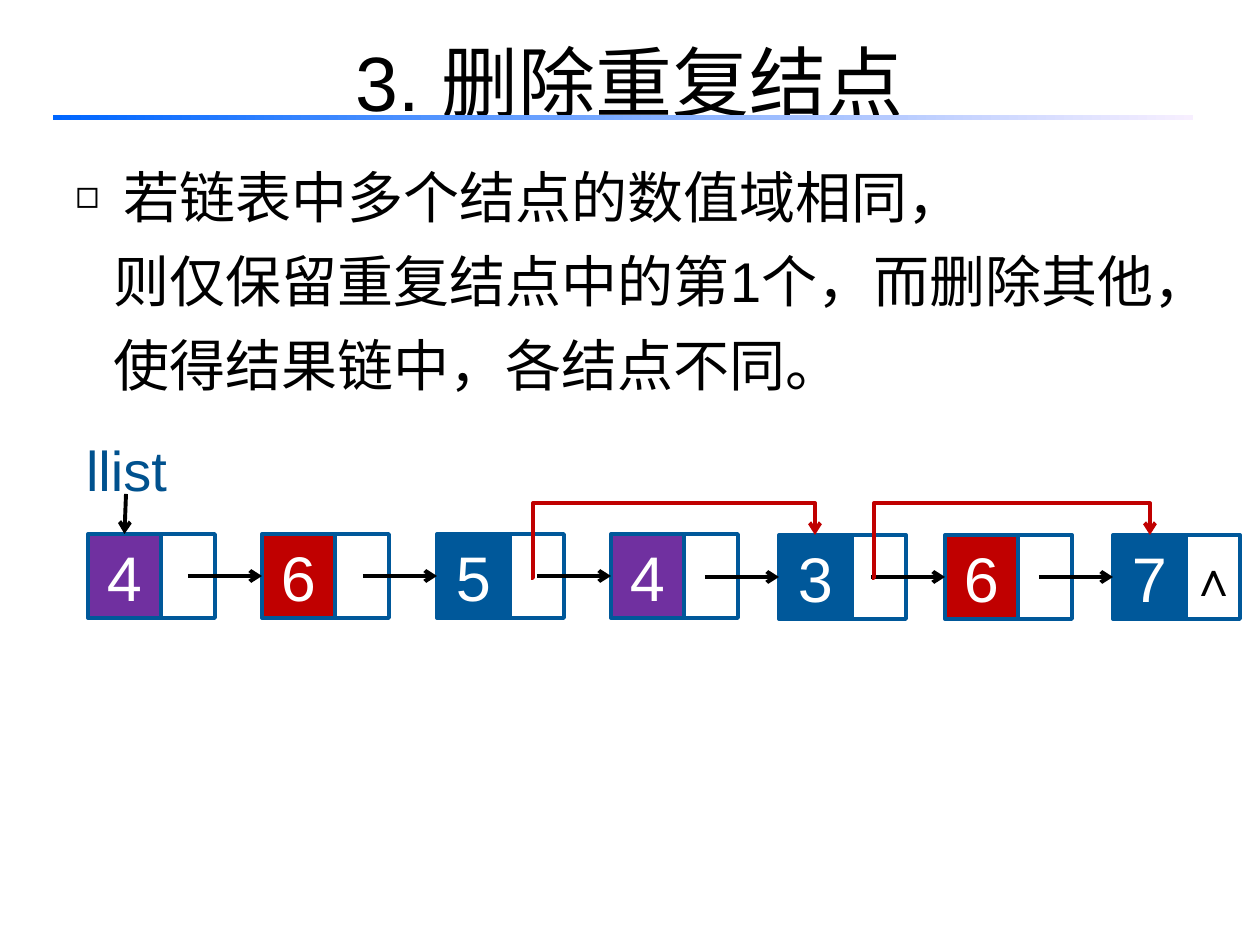
from lxml import etree
from pptx import Presentation
from pptx import util as u
from pptx.dml.color import RGBColor
from pptx.enum import shapes, text
from pptx.oxml import ns

PX = 914400 / 126
FONT = "Arial"
BLUE, RED, PURPLE = "00589A", "C00000", "7030A0"
BLACK, WHITE = "000000", "FFFFFF"
MID, TOP = text.MSO_ANCHOR.MIDDLE, text.MSO_ANCHOR.TOP


def emu(*px):
    return [u.Emu(round(n * PX)) for n in px]


def rgb(code):
    return RGBColor.from_string(code)


def add(node, tag, **attrs):
    return etree.SubElement(node, ns.qn(tag), **attrs)


def write(shape, words, size=32, color=BLACK, bold=False, gap=1.0,
          wrap=False, center=True, anchor=MID, indent=0, hang=0, bullet=None):
    frame = shape.text_frame
    frame.word_wrap = wrap
    frame.auto_size = text.MSO_AUTO_SIZE.NONE
    frame.vertical_anchor = anchor
    para = frame.paragraphs[0]
    props = para._p.get_or_add_pPr()
    if indent:
        left, back = emu(indent, hang)
        props.set("marL", str(left))
        props.set("indent", str(-back))
    if bullet:
        add(props, "a:buSzPct", val="70000")
        add(props, "a:buFont", typeface=FONT)
        add(props, "a:buChar", char=bullet)
    para.alignment = text.PP_ALIGN.CENTER if center else text.PP_ALIGN.LEFT
    para.line_spacing = gap
    para.space_before = u.Pt(0)
    run = para.add_run()
    run.text = words
    run.font.name = FONT
    run.font.size = u.Pt(size)
    run.font.bold = bold
    run.font.color.rgb = rgb(color)


def rect(slide, box, fill=None):
    shape = slide.shapes.add_shape(shapes.MSO_SHAPE.RECTANGLE, *emu(*box))
    shape.shadow.inherit = False
    if fill:
        shape.fill.solid()
        shape.fill.fore_color.rgb = rgb(fill)
    else:
        shape.fill.background()
    shape.line.color.rgb = rgb(BLUE)
    shape.line.width = u.Pt(2.25)
    return shape


def arrow(slide, start, end, color=BLACK, kind=shapes.MSO_CONNECTOR.STRAIGHT):
    line = slide.shapes.add_connector(kind, *emu(*start, *end))
    line.line.color.rgb = rgb(color)
    line.line.width = u.Pt(2.25)
    add(line.line._get_or_add_ln(), "a:tailEnd", type="arrow")
    add(line._element.spPr, "a:effectLst")
    return line


def jump(slide, start, end):
    line = arrow(slide, start, end, RED, shapes.MSO_CONNECTOR.ELBOW)
    geom = line._element.spPr.find(ns.qn("a:prstGeom"))
    geom.set("prst", "bentConnector4")
    for old in list(geom):
        geom.remove(old)
    guides = add(geom, "a:avLst")
    add(guides, "a:gd", name="adj1", fmla="val 700")
    add(guides, "a:gd", name="adj2", fmla="val 173800")


def head(slide, box):
    left, top, width, height = box
    title = slide.shapes.title
    title.left, title.top, title.width, title.height = emu(*box)
    write(title, "3. 删除重复结点", size=44, gap=1.25, wrap=True)
    rule = rect(slide, (left - 10, top + 125, 1140, 5))
    rule.line.fill.background()
    rule.fill.gradient()
    rule.fill.gradient_angle = 0
    for stop, code in zip(rule.fill.gradient_stops, ("0066FF", "F7EFFF")):
        stop.color.rgb = rgb(code)


def body(slide, box):
    left, top, width, height = box
    rows = [
        ("若链表中多个结点的数值域相同，", dict(indent=48, hang=48, bullet="◻")),
        ("则仅保留重复结点中的第1个，而删除其他，", dict(indent=38)),
        ("使得结果链中，各结点不同。", dict(indent=38)),
    ]
    for i, (words, form) in enumerate(rows):
        area = emu(left, top + i * height, width, height)
        write(slide.shapes.add_textbox(*area), words, gap=1.3, wrap=True,
              center=False, anchor=TOP, **form)


def node(slide, box, value, fill, mark):
    left, top, width, height = box
    link = rect(slide, (left + 61, top, width - 61, height))
    if mark:
        write(link, mark, size=28, bold=True)
    key = rect(slide, (left, top, 73, height), fill)
    write(key, value, size=36, color=WHITE)
    return key


def chain(slide, box):
    left, top, width, height = box
    items = [
        (0, 0, "4", PURPLE), (174, 0, "6", RED), (349, 0, "5", BLUE),
        (523, 0, "4", PURPLE), (691, 1, "3", BLUE), (857, 1, "6", RED),
        (1025, 1, "7", BLUE),
    ]
    keys = []
    for x, y, value, fill in items:
        mark = " ∧" if x == items[-1][0] else None
        area = (left + x, top + y, 127, height)
        keys.append(node(slide, area, value, fill, mark))
    for (x, y, *_), key in zip(items[1:], keys[1:]):
        end = (left + x, top + y + height / 2)
        line = arrow(slide, (end[0] - 74, end[1]), end)
        line.end_connect(key, 1)
    label = slide.shapes.add_textbox(*emu(left - 15, top - 103, 107, 84))
    write(label, "llist", color="00518E", gap=0.9)
    line = arrow(slide, (left + 38, top - 40), (left + 37, top))
    line.end_connect(keys[0], 0)
    for start, end in ((443, 727), (784, 1062)):
        jump(slide, (left + start, top + 44), (left + end, top + 1))


def main():
    deck = Presentation()
    deck.slide_width, deck.slide_height = emu(1260, 945)
    slide = deck.slides.add_slide(deck.slide_layouts[5])
    head(slide, (63, -10, 1134, 158))
    body(slide, (63, 136, 1229, 84))
    chain(slide, (88, 534, 1152, 84))
    deck.save("out.pptx")


if __name__ == "__main__":
    main()
